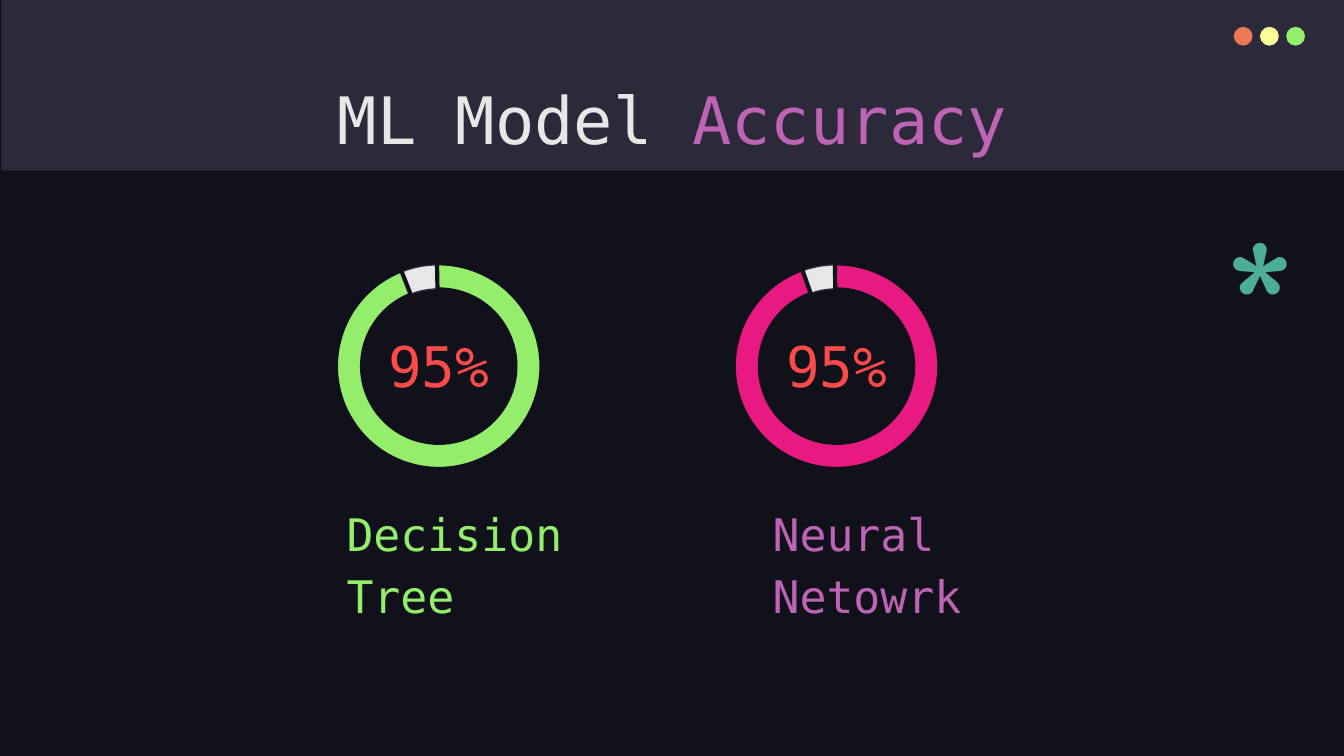
import pptx
import pptx.util
import pptx.dml.color
import pptx.enum.shapes
import pptx.enum.text

Inches = pptx.util.Inches
Pt = pptx.util.Pt
RGBColor = pptx.dml.color.RGBColor
SHAPE = pptx.enum.shapes.MSO_SHAPE
ANCHOR = pptx.enum.text.MSO_ANCHOR
ALIGN = pptx.enum.text.PP_ALIGN

NIGHT = RGBColor(0x10, 0x11, 0x1A)
SLATE = RGBColor(0x2C, 0x29, 0x3A)
ORANGE = RGBColor(0xEC, 0x79, 0x55)
YELLOW = RGBColor(0xFF, 0xFF, 0x99)
GREEN = RGBColor(0x94, 0xEE, 0x6B)
PURPLE = RGBColor(0xBD, 0x64, 0xB5)
PINK = RGBColor(0xE8, 0x1A, 0x81)
RED = RGBColor(0xFD, 0x4A, 0x4A)
TEAL = RGBColor(0x4C, 0xAE, 0x97)
LIGHT = RGBColor(0xE7, 0xE7, 0xE7)
MONO = "DejaVu Sans Mono"


def add_shape(slide, kind, x, y, w, h, fill, line=None, line_width=0):
    sp = slide.shapes.add_shape(kind, Inches(x), Inches(y), Inches(w), Inches(h))
    sp.shadow.inherit = False
    sp.fill.solid()
    sp.fill.fore_color.rgb = fill
    if line is None:
        sp.line.fill.background()
    else:
        sp.line.color.rgb = line
        sp.line.width = Pt(line_width)
    return sp


def add_text(slide, x, y, w, h, runs, size, font=MONO, align=ALIGN.LEFT,
             anchor=ANCHOR.TOP, spacing=None):
    """Place one paragraph made of (text, colour) runs."""
    sp = slide.shapes.add_textbox(Inches(x), Inches(y), Inches(w), Inches(h))
    tf = sp.text_frame
    tf.word_wrap = True
    tf.vertical_anchor = anchor
    tf.margin_left = tf.margin_right = Inches(0.1)
    tf.margin_top = tf.margin_bottom = Inches(0.1)
    p = tf.paragraphs[0]
    p.alignment = align
    if spacing:
        p.line_spacing = spacing
    for text, color in runs:
        r = p.add_run()
        r.text = text
        r.font.name = font
        r.font.size = Pt(size)
        r.font.color.rgb = color


def add_header(slide, x, y, w, h):
    # Title bar
    add_shape(slide, SHAPE.RECTANGLE, x, y, w, h, SLATE)
    # Window buttons
    for i, color in enumerate((ORANGE, YELLOW, GREEN)):
        add_shape(slide, SHAPE.OVAL, x + 9.17 + i * 0.195, y + 0.2, 0.14, 0.14, color)
    # Title
    add_text(slide, x + 0.78, y + 0.49, 8.43, 0.63,
             [("ML Model ", LIGHT), ("Accuracy", PURPLE)], 35, align=ALIGN.CENTER)


def add_gauge(slide, x, y, size, value, color, arc_start):
    # Track
    track = add_shape(slide, SHAPE.DONUT, x + 0.01, y + 0.01, size - 0.02, size - 0.02,
                      LIGHT, SLATE, 0.75)
    track.adjustments[0] = 0.119
    # Filled part, running clockwise from the top
    arc = add_shape(slide, SHAPE.BLOCK_ARC, x, y, size, size, color, NIGHT, 2.25)
    for i, adj in enumerate((arc_start, 162.567, 0.127)):
        arc.adjustments[i] = adj
    arc._element.spPr.xfrm.set("flipH", "1")
    # Value
    add_text(slide, x + 0.19, y + 0.54, 1.15, 0.44, [(value, RED)], 30,
             align=ALIGN.CENTER, anchor=ANCHOR.MIDDLE)


def add_label(slide, x, y, w, h, text, color):
    add_text(slide, x, y, w, h, [(text, color)], 24, anchor=ANCHOR.BOTTOM, spacing=1.15)


def main():
    prs = pptx.Presentation()
    prs.slide_width = Inches(10)
    prs.slide_height = Inches(10) * 9 // 16
    s = prs.slides.add_slide(prs.slide_layouts[6])
    s.background.fill.solid()
    s.background.fill.fore_color.rgb = NIGHT

    add_header(s, 0.01, 0, 10, 1.27)

    # Models: gauge left, arc start, gauge colour, label left, label, label colour
    models = [
        (2.5, 174.846, GREEN, 2.48, "Decision Tree", GREEN),
        (5.46, 173.74, PINK, 5.65, "Neural Netowrk", PURPLE),
    ]
    for gauge_x, arc_start, color, label_x, label, label_color in models:
        add_gauge(s, gauge_x, 1.96, 1.53, "95%", color, arc_start)
        add_label(s, label_x, 4.08, 2.52, 0.65, label, label_color)

    # Asterisk ornament
    add_text(s, 9.02, 1.42, 0.7, 0.8, [("*", TEAL)], 96, font="Comfortaa")

    prs.save("out.pptx")


if __name__ == "__main__":
    main()
